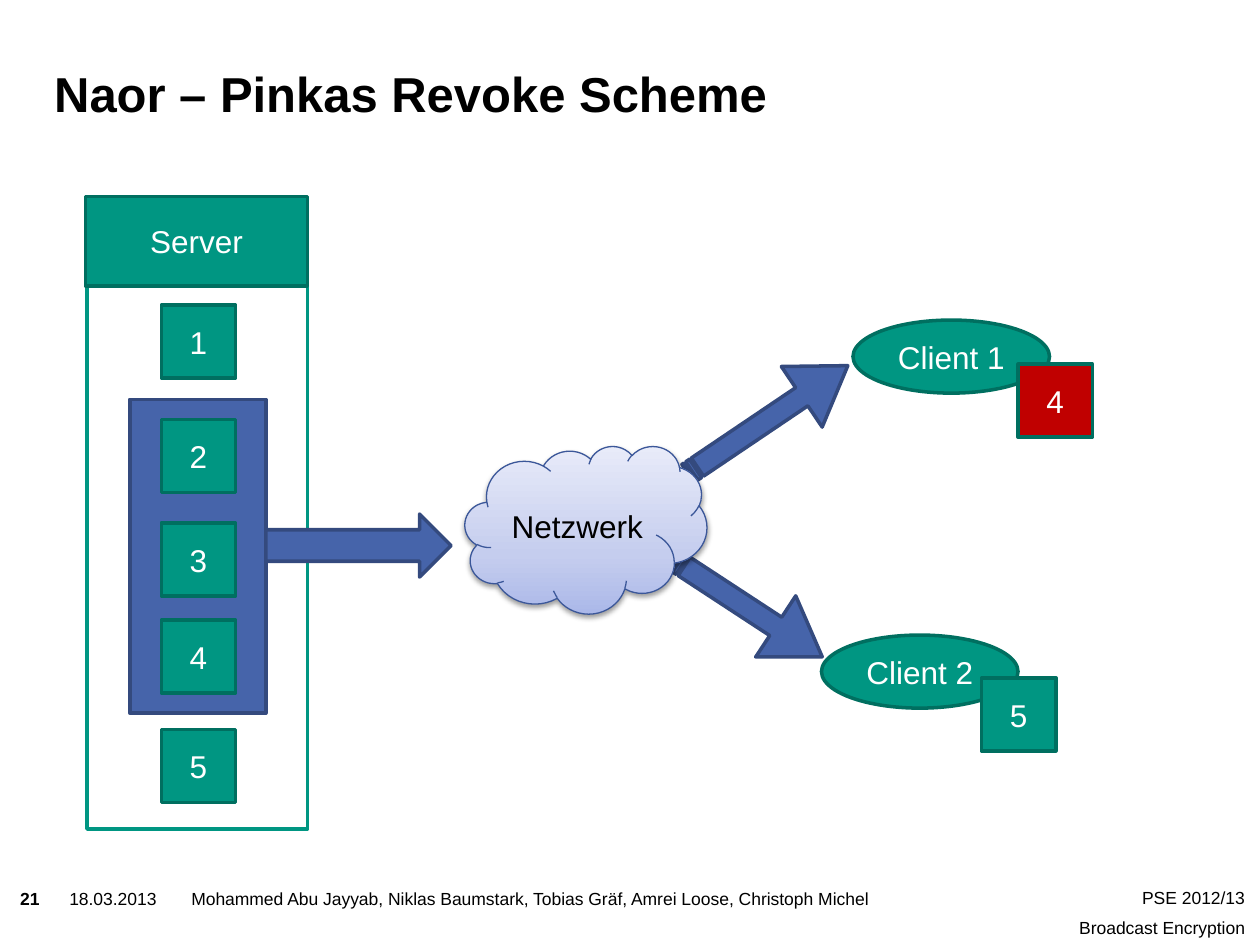
from lxml.etree import fromstring
from pptx import Presentation
from pptx.dml.color import RGBColor
from pptx.enum.shapes import MSO_SHAPE as Kind
from pptx.enum.text import MSO_ANCHOR as Anchor, MSO_AUTO_SIZE as Fit, PP_ALIGN as Align
from pptx.util import Inches, Pt

COLS, ROWS = 100, 75
GREEN, DARK = "009682", "006F60"
BLUE, NAVY = "4664AA", "344A7E"
WHITE, BLACK, RED = "FFFFFF", "000000", "C00000"
NS = 'xmlns:a="http://schemas.openxmlformats.org/drawingml/2006/main"'


def color(code):
    return RGBColor.from_string(code)


def write(frame, text, size=18, tint=WHITE, bold=False, align=Align.CENTER,
          anchor=Anchor.MIDDLE, gap=0, inset=None):
    """Fill a text frame, one paragraph per line of text."""
    frame.word_wrap = True
    frame.auto_size = Fit.NONE
    frame.vertical_anchor = anchor
    if inset is not None:
        frame.margin_left = frame.margin_right = Inches(inset)
        frame.margin_top = frame.margin_bottom = Inches(inset)
    for i, line in enumerate(text.split("\n")):
        para = frame.add_paragraph() if i else frame.paragraphs[0]
        para.alignment = align
        para.space_before = Pt(gap if i else 0)
        run = para.add_run()
        run.text = line
        font = run.font
        font.name, font.size, font.bold = "Arial", Pt(size), bold
        font.color.rgb = color(tint)


class Deck:
    def __init__(self):
        self.file = Presentation()
        self.file.slide_width, self.file.slide_height = Inches(10), Inches(7.5)
        self.slide = self.file.slides.add_slide(self.file.slide_layouts[5])

    def place(self, x, y, w, h):
        """Turn grid columns and rows into slide lengths."""
        col, row = self.file.slide_width / COLS, self.file.slide_height / ROWS
        return round(x * col), round(y * row), round(w * col), round(h * row)

    def title(self, text, *box):
        shape = self.slide.shapes.title
        shape.left, shape.top, shape.width, shape.height = self.place(*box)
        write(shape.text_frame, text, size=28, tint=BLACK, bold=True,
              align=Align.LEFT, anchor=Anchor.BOTTOM, inset=0)

    def label(self, text, *box, **style):
        shape = self.slide.shapes.add_textbox(*self.place(*box))
        style = {"align": Align.LEFT, "inset": 0} | style
        write(shape.text_frame, text, size=10, tint=BLACK, anchor=Anchor.TOP, **style)

    def shape(self, kind, *box, text="", fill=GREEN, line=DARK, width=2, tint=WHITE):
        shape = self.slide.shapes.add_shape(kind, *self.place(*box))
        shape.shadow.inherit = False
        shape.fill.solid()
        shape.fill.fore_color.rgb = color(fill)
        shape.line.color.rgb = color(line)
        shape.line.width = Pt(width)
        if text:
            write(shape.text_frame, text, tint=tint)
        return shape

    def key(self, text, x, y, **style):
        return self.shape(Kind.RECTANGLE, x, y, 5.9, 5.8, text=text, **style)

    def client(self, text, x, y):
        return self.shape(Kind.OVAL, x, y, 15.6, 5.8, text=text)

    def arrow(self, kind, *box, turn=0):
        arrow = self.shape(kind, *box, fill=BLUE, line=NAVY)
        arrow.rotation = turn
        if kind == Kind.STRIPED_RIGHT_ARROW:
            arrow.adjustments[0], arrow.adjustments[1] = 0.3, 0.76

    def cloud(self, text, *box):
        cloud = self.shape(Kind.CLOUD, *box, text=text, line="3B5799",
                           width=0.75, tint=BLACK)
        # Three-stop gradient
        cloud.fill.gradient()
        cloud.fill.gradient_angle = 90
        stops = cloud._element.spPr.find(".//{*}gsLst")
        for stop in list(stops):
            stops.remove(stop)
        for pos, code in ((0, "ABB8E9"), (35, "C5CDEE"), (100, "E8EBF9")):
            stops.append(fromstring(
                f'<a:gs {NS} pos="{pos * 1000}"><a:srgbClr val="{code}"/></a:gs>'))
        # Soft shadow below
        cloud._element.spPr.find("{*}effectLst").append(fromstring(
            f'<a:outerShdw {NS} blurRad="{Pt(3.1)}" dist="{Pt(1.6)}" dir="5400000" '
            f'rotWithShape="0"><a:srgbClr val="{BLACK}"><a:alpha val="38000"/>'
            '</a:srgbClr></a:outerShdw>'))


def main():
    deck = Deck()
    deck.title("Naor – Pinkas Revoke Scheme", 4.3, 3.6, 75.6, 6.1)

    # Footer
    deck.label("PSE 2012/13\nBroadcast Encryption", 76.7, 70.4, 22.1, 3.9,
               align=Align.RIGHT, gap=5)
    deck.label("21", 1.6, 70.5, 3.6, 2.4, bold=True)
    deck.label("18.03.2013", 5.5, 70.5, 9.4, 3.9)
    deck.label("Mohammed Abu Jayyab, Niklas Baumstark, Tobias Gräf, "
               "Amrei Loose, Christoph Michel", 14.2, 70, 58.3, 2.7, inset=None)

    # Server with its keys
    deck.shape(Kind.RECTANGLE, 6.9, 20.8, 17.5, 45, fill=WHITE, line=GREEN)
    deck.shape(Kind.RECTANGLE, 10.3, 31.7, 10.8, 24.9, fill=BLUE, line=NAVY)
    deck.shape(Kind.RECTANGLE, 6.8, 15.6, 17.6, 7.1, text="Server")
    for num, y in enumerate((24.2, 33.3, 41.5, 49.2, 57.9), 1):
        deck.key(str(num), 12.8, y)

    # Arrows and network
    deck.arrow(Kind.STRIPED_RIGHT_ARROW, 53.3, 30.4, 15.3, 5.8, turn=326)
    deck.arrow(Kind.STRIPED_RIGHT_ARROW, 52.4, 45.4, 14, 5.8, turn=33.2)
    deck.arrow(Kind.RIGHT_ARROW, 21.1, 40.8, 14.7, 5)
    deck.cloud("Netzwerk", 36.9, 35.4, 19.2, 13.3)

    # Clients with their keys
    deck.client("Client 1", 67.7, 25.4)
    deck.key("4", 80.8, 28.9, fill=RED)
    deck.client("Client 2", 65.2, 50.4)
    deck.key("5", 77.9, 53.8)

    deck.file.save("out.pptx")


if __name__ == "__main__":
    main()
